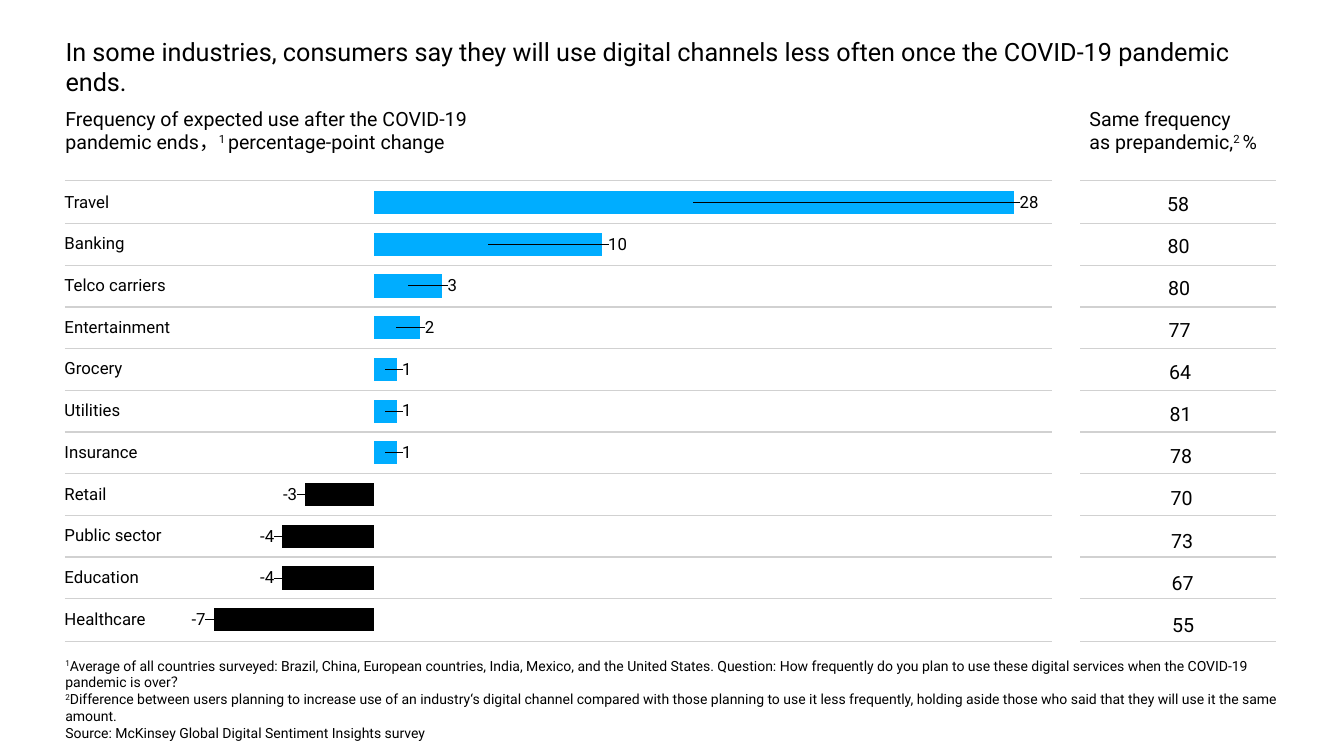
from dataclasses import dataclass

from lxml.etree import SubElement
from pptx import Presentation
from pptx.chart.data import CategoryChartData
from pptx.dml.color import RGBColor
from pptx.enum.chart import XL_CHART_TYPE, XL_TICK_LABEL_POSITION, XL_TICK_MARK
from pptx.enum.shapes import MSO_CONNECTOR
from pptx.enum.text import MSO_ANCHOR, MSO_AUTO_SIZE, PP_ALIGN
from pptx.oxml import parse_xml
from pptx.oxml.ns import nsdecls, qn
from pptx.util import Pt

BLACK = RGBColor(0x00, 0x00, 0x00)
WHITE = RGBColor(0xFF, 0xFF, 0xFF)
BLUE = RGBColor(0x00, 0xAD, 0xFF)
RULE_GREY = RGBColor(0xD1, 0xD1, 0xD1)
LATIN_FONT = "Roboto"
ASIAN_FONT = "Noto Sans CJK SC"

CHART_LEFT, CHART_TOP, CHART_WIDTH, CHART_HEIGHT = 132.5, 108.7, 612.7, 370.1
PLOT_X, PLOT_Y, PLOT_W, PLOT_H = 0.033, 0.057, 0.933, 0.886
AXIS_MIN, AXIS_MAX = -7, 28
ROW_PITCH = 29.8


@dataclass(frozen=True)
class Industry:
    name: str
    change: int
    same_frequency: int


@dataclass(frozen=True)
class RuleColumn:
    left: float
    right: float


INDUSTRIES = [
    Industry("Travel", 28, 58),
    Industry("Banking", 10, 80),
    Industry("Telco carriers", 3, 80),
    Industry("Entertainment", 2, 77),
    Industry("Grocery", 1, 64),
    Industry("Utilities", 1, 81),
    Industry("Insurance", 1, 78),
    Industry("Retail", -3, 70),
    Industry("Public sector", -4, 73),
    Industry("Education", -4, 67),
    Industry("Healthcare", -7, 55),
]
RULE_COLUMNS = [RuleColumn(46.4, 751.3), RuleColumn(771.8, 911.5)]
RULE_TOPS = [128.9, *(159.8 + 29.76 * row for row in range(10)), 458.3]

TITLE = (
    "In some industries, consumers say they will use digital channels "
    "less often once the COVID-19 pandemic ends."
)
CHANGE_HEADING = (
    "Frequency of expected use after the COVID-19\n"
    "pandemic ends，^1 ^percentage-point change"
)
SAME_HEADING = "Same frequency\nas prepandemic,^2 ^%"
FOOTNOTES = (
    "^1^Average of all countries surveyed: Brazil, China, European countries, "
    "India, Mexico, and the United States. Question: How frequently do you plan "
    "to use these digital services when the COVID-19 pandemic is over？\n"
    "^2^Difference between users planning to increase use of an industry‘s "
    "digital channel compared with those planning to use it less frequently, "
    "holding aside those who said that they will use it the same amount.\n"
    "Source: McKinsey Global Digital Sentiment Insights survey"
)


def write(frame, text: str, *, size: float, spacing: float = 1.0,
          wrap: bool = True, inset: bool = True, anchor=MSO_ANCHOR.TOP,
          fit=MSO_AUTO_SIZE.SHAPE_TO_FIT_TEXT) -> None:
    frame.word_wrap = wrap
    frame.auto_size = fit
    frame.vertical_anchor = anchor
    if not inset:
        frame.margin_left = frame.margin_right = Pt(0)
        frame.margin_top = frame.margin_bottom = Pt(0)
    for index, line in enumerate(text.split("\n")):
        paragraph = frame.add_paragraph() if index else frame.paragraphs[0]
        paragraph.alignment = PP_ALIGN.LEFT
        paragraph.line_spacing = spacing
        for part, words in enumerate(line.split("^")):
            if not words:
                continue
            run = paragraph.add_run()
            run.text = words
            run.font.size = Pt(size)
            run.font.color.rgb = BLACK
            run.font.name = LATIN_FONT
            properties = run._r.get_or_add_rPr()
            SubElement(properties, qn("a:ea")).set("typeface", ASIAN_FONT)
            if part % 2:
                properties.set("baseline", "30000")


def add_text(slide, text: str, left: float, top: float, width: float,
             height: float, **style) -> None:
    box = slide.shapes.add_textbox(Pt(left), Pt(top), Pt(width), Pt(height))
    write(box.text_frame, text, **style)


def add_title(slide) -> None:
    title = slide.shapes.title
    title.left, title.top = Pt(39.6), Pt(22.3)
    title.width, title.height = Pt(886.3), Pt(51.1)
    write(title.text_frame, TITLE, size=18)


def add_rule(slide, column: RuleColumn, top: float) -> None:
    rule = slide.shapes.add_connector(
        MSO_CONNECTOR.STRAIGHT,
        Pt(column.left), Pt(top), Pt(column.right), Pt(top))
    rule.line.color.rgb = RULE_GREY
    rule.line.width = Pt(1)
    SubElement(rule._element.spPr, qn("a:effectLst"))


def manual_layout(*settings: tuple[str, object]):
    entries = "".join(f'<c:{tag} val="{value}"/>' for tag, value in settings)
    return parse_xml(
        f'<c:layout {nsdecls("c")}><c:manualLayout>{entries}'
        "</c:manualLayout></c:layout>")


def label_offset(change: int) -> float:
    half_bar = abs(change) / 2 * PLOT_W / (AXIS_MAX - AXIS_MIN)
    gap = 3.6 * (1 + len(str(change))) / CHART_WIDTH
    return round((half_bar + gap) * (1 if change > 0 else -1), 4)


def add_change_chart(slide) -> None:
    data = CategoryChartData()
    data.categories = [str(row) for row in range(1, len(INDUSTRIES) + 1)]
    data.add_series("Series 1", [industry.change for industry in INDUSTRIES])
    chart = slide.shapes.add_chart(
        XL_CHART_TYPE.BAR_STACKED, Pt(CHART_LEFT), Pt(CHART_TOP),
        Pt(CHART_WIDTH), Pt(CHART_HEIGHT), data).chart
    chart.has_legend = False
    chart.has_title = False
    chart.font.name = ASIAN_FONT
    chart.font.size = Pt(10)
    chart.font.color.rgb = BLACK

    industries_axis = chart.category_axis
    industries_axis.reverse_order = True
    industries_axis.tick_label_position = XL_TICK_LABEL_POSITION.NONE
    industries_axis.major_tick_mark = XL_TICK_MARK.NONE
    industries_axis.format.line.color.rgb = WHITE
    industries_axis.format.line.width = Pt(0.75)
    change_axis = chart.value_axis
    change_axis.minimum_scale = AXIS_MIN
    change_axis.maximum_scale = AXIS_MAX
    change_axis.has_major_gridlines = False
    change_axis.visible = False

    plot_area = chart._chartSpace.chart.plotArea
    for layout in plot_area.findall(qn("c:layout")):
        plot_area.remove(layout)
    plot_area.insert(0, manual_layout(
        ("layoutTarget", "inner"), ("xMode", "edge"), ("yMode", "edge"),
        ("x", PLOT_X), ("y", PLOT_Y), ("w", PLOT_W), ("h", PLOT_H)))

    plot = chart.plots[0]
    plot.gap_width = 80
    plot.overlap = 100
    plot.vary_by_categories = False
    changes = plot.series[0]
    changes.invert_if_negative = False
    changes.format.fill.solid()
    changes.format.fill.fore_color.rgb = BLUE
    for row, industry in enumerate(INDUSTRIES):
        point = changes.points[row]
        if industry.change < 0:
            point.format.fill.solid()
            point.format.fill.fore_color.rgb = BLACK
        font = point.data_label.font
        font.name = LATIN_FONT
        font.size = Pt(12)
        font.color.rgb = BLACK
    labels = changes.data_labels._element
    for label, industry in zip(labels.findall(qn("c:dLbl")), INDUSTRIES):
        label.insert(1, manual_layout(("x", label_offset(industry.change)), ("y", 0)))
    labels.append(parse_xml(
        f'<c:extLst {nsdecls("c")}><c:ext uri="{{CE6537A1-D6FC-4f65-9D91-7224C49458BB}}" '
        'xmlns:c15="http://schemas.microsoft.com/office/drawing/2012/chart">'
        '<c15:showLeaderLines val="1"/></c:ext></c:extLst>'))


def main() -> None:
    deck = Presentation()
    deck.slide_width, deck.slide_height = Pt(960), Pt(540)
    slide = deck.slides.add_slide(deck.slide_layouts[5])
    add_title(slide)
    add_text(slide, CHANGE_HEADING, 39.6, 72.7, 318.2, 41, size=14, wrap=False)
    add_text(slide, SAME_HEADING, 771.1, 72.7, 143.3, 41, size=14, wrap=False)
    add_text(slide, FOOTNOTES, 39.6, 465.8, 896.4, 67.7, size=10)
    add_change_chart(slide)
    for column in RULE_COLUMNS:
        for top in RULE_TOPS:
            add_rule(slide, column, top)
    for row, industry in enumerate(INDUSTRIES):
        add_text(slide, industry.name, 46.1, 138.2 + ROW_PITCH * row, 80, 13,
                 size=12, spacing=0.9, inset=False, anchor=MSO_ANCHOR.MIDDLE,
                 fit=MSO_AUTO_SIZE.NONE)
        add_text(slide, str(industry.same_frequency), 826.6 + 0.36 * row,
                 133.2 + 30.1 * row, 31, 24.5, size=14, wrap=False)
    deck.save("out.pptx")


if __name__ == "__main__":
    main()
